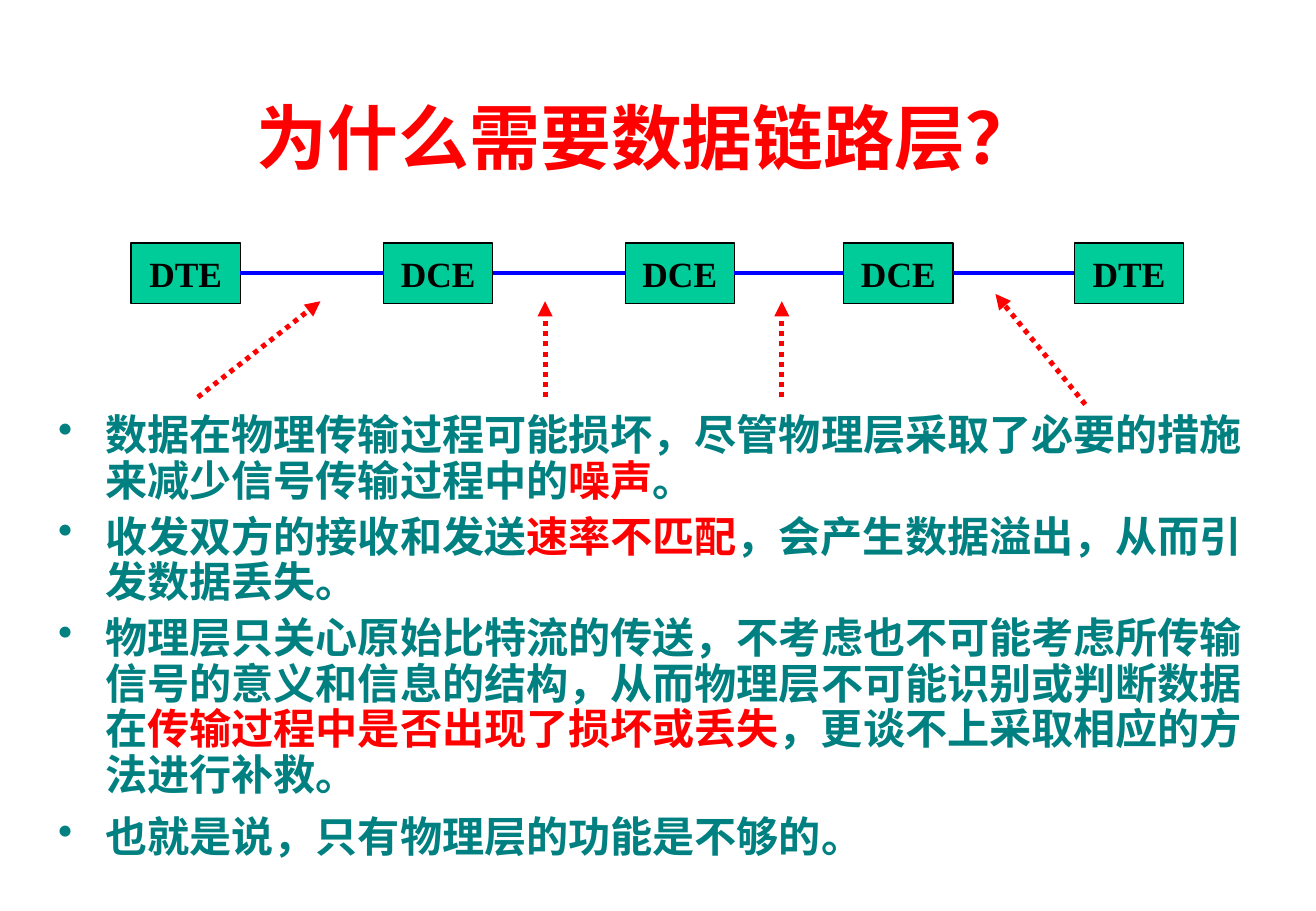
from dataclasses import dataclass

from lxml.etree import SubElement
from pptx import Presentation
from pptx.dml.color import RGBColor
from pptx.enum.dml import MSO_LINE
from pptx.enum.shapes import MSO_CONNECTOR, MSO_SHAPE
from pptx.enum.text import MSO_ANCHOR, PP_ALIGN
from pptx.oxml.ns import qn
from pptx.util import Inches, Pt


@dataclass(frozen=True)
class Theme:
    red: str = "FF0000"
    teal: str = "008080"
    green: str = "00CC99"
    blue: str = "0000FF"
    black: str = "000000"
    latin_font: str = "Times New Roman"
    chinese_font: str = "Noto Sans CJK SC"
    title_size: float = 42
    body_size: float = 25
    label_size: float = 21


THEME = Theme()
RIGHT_SIDE, LEFT_SIDE = 3, 1
NODE_TOP, NODE_WIDTH, NODE_HEIGHT = 2, 0.9, 0.5
NODES = [("DTE", 1.08), ("DCE", 3.16), ("DCE", 5.15), ("DCE", 6.95), ("DTE", 8.85)]
ARROWS = [
    ((1.63, 3.27), (2.64, 2.48)),
    ((4.49, 3.27), (4.49, 2.48)),
    ((6.44, 3.27), (6.44, 2.48)),
    ((8.94, 3.33), (8.2, 2.42)),
]
# Each point: space before, then plain and highlighted text in turn
POINTS = [
    (0, ["数据在物理传输过程可能损坏，尽管物理层采取了必要的措施来减少信号传输过程中的",
         "噪声", "。"]),
    (6.2, ["收发双方的接收和发送", "速率不匹配", "，会产生数据溢出，从而引发数据丢失。"]),
    (6.2, ["物理层只关心原始比特流的传送，不考虑也不可能考虑所传输信号的意义和信息的结构，"
           "从而物理层不可能识别或判断数据在",
           "传输过程中是否出现了损坏或丢失", "，更谈不上采取相应的方法进行补救。"]),
    (10, ["也就是说，只有物理层的功能是不够的。"]),
]


def rgb(color):
    return RGBColor.from_string(color)


def style_text(paragraph, size, color, font_name):
    font = paragraph.font
    font.size, font.bold, font.name = Pt(size), True, font_name
    font.color.rgb = rgb(color)


def add_title(slide, text):
    title = slide.shapes.title
    title.left, title.top = Inches(0.72), Inches(0.5)
    title.width, title.height = Inches(9.21), Inches(1.25)
    title.text_frame.text = text
    title.text_frame.vertical_anchor = MSO_ANCHOR.MIDDLE
    paragraph = title.text_frame.paragraphs[0]
    paragraph.alignment = PP_ALIGN.CENTER
    style_text(paragraph, THEME.title_size, THEME.red, THEME.latin_font)


def add_node(slide, label, left):
    node = slide.shapes.add_shape(
        MSO_SHAPE.RECTANGLE, Inches(left), Inches(NODE_TOP),
        Inches(NODE_WIDTH), Inches(NODE_HEIGHT))
    node.shadow.inherit = False
    node.fill.solid()
    node.fill.fore_color.rgb = rgb(THEME.green)
    node.line.color.rgb = rgb(THEME.black)
    node.line.width = Pt(0.75)
    frame = node.text_frame
    frame.word_wrap = False
    frame.vertical_anchor = MSO_ANCHOR.MIDDLE
    frame.text = label
    paragraph = frame.paragraphs[0]
    paragraph.alignment = PP_ALIGN.CENTER
    style_text(paragraph, THEME.label_size, THEME.black, THEME.latin_font)
    return node


def add_line(slide, start, end, color, width):
    line = slide.shapes.add_connector(
        MSO_CONNECTOR.STRAIGHT, *(Inches(value) for value in (*start, *end)))
    line.line.color.rgb = rgb(color)
    line.line.width = Pt(width)
    SubElement(line._element.spPr, qn("a:effectLst"))
    return line


def add_link(slide, left_node, right_node):
    link = add_line(slide, (0, 0), (0, 0), THEME.blue, 2.5)
    link.begin_connect(left_node, RIGHT_SIDE)
    link.end_connect(right_node, LEFT_SIDE)


def add_dotted_arrow(slide, start, end):
    arrow = add_line(slide, start, end, THEME.red, 3)
    arrow.line.dash_style = MSO_LINE.ROUND_DOT
    outline = arrow.line._get_or_add_ln()
    SubElement(outline, qn("a:tailEnd"), type="triangle")


def add_bullet(paragraph, indent):
    properties = paragraph._p.get_or_add_pPr()
    properties.set("marL", str(Inches(indent)))
    properties.set("indent", str(-Inches(indent)))
    bullet_color = SubElement(properties, qn("a:buClr"))
    SubElement(bullet_color, qn("a:srgbClr"), val=THEME.teal)
    SubElement(properties, qn("a:buChar"), char="•")


def add_points(slide, points):
    box = slide.shapes.add_textbox(
        Inches(0.38), Inches(3.36), Inches(10.11), Inches(3.86))
    frame = box.text_frame
    frame.word_wrap = True
    for index, (space_before, parts) in enumerate(points):
        paragraph = frame.add_paragraph() if index else frame.paragraphs[0]
        add_bullet(paragraph, 0.39)
        paragraph.line_spacing = 0.9
        paragraph.space_before = Pt(space_before)
        style_text(paragraph, THEME.body_size, THEME.teal, THEME.chinese_font)
        for position, text in enumerate(parts):
            run = paragraph.add_run()
            run.text = text
            if position % 2:
                run.font.color.rgb = rgb(THEME.red)


def main():
    presentation = Presentation()
    presentation.slide_width = Inches(10.84)
    presentation.slide_height = Inches(7.5)
    title_only = presentation.slide_layouts[5]
    slide = presentation.slides.add_slide(title_only)
    add_title(slide, "为什么需要数据链路层？")
    add_points(slide, POINTS)
    nodes = [add_node(slide, label, left) for label, left in NODES]
    for left_node, right_node in zip(nodes, nodes[1:]):
        add_link(slide, left_node, right_node)
    for start, end in ARROWS:
        add_dotted_arrow(slide, start, end)
    presentation.save("out.pptx")


if __name__ == "__main__":
    main()
